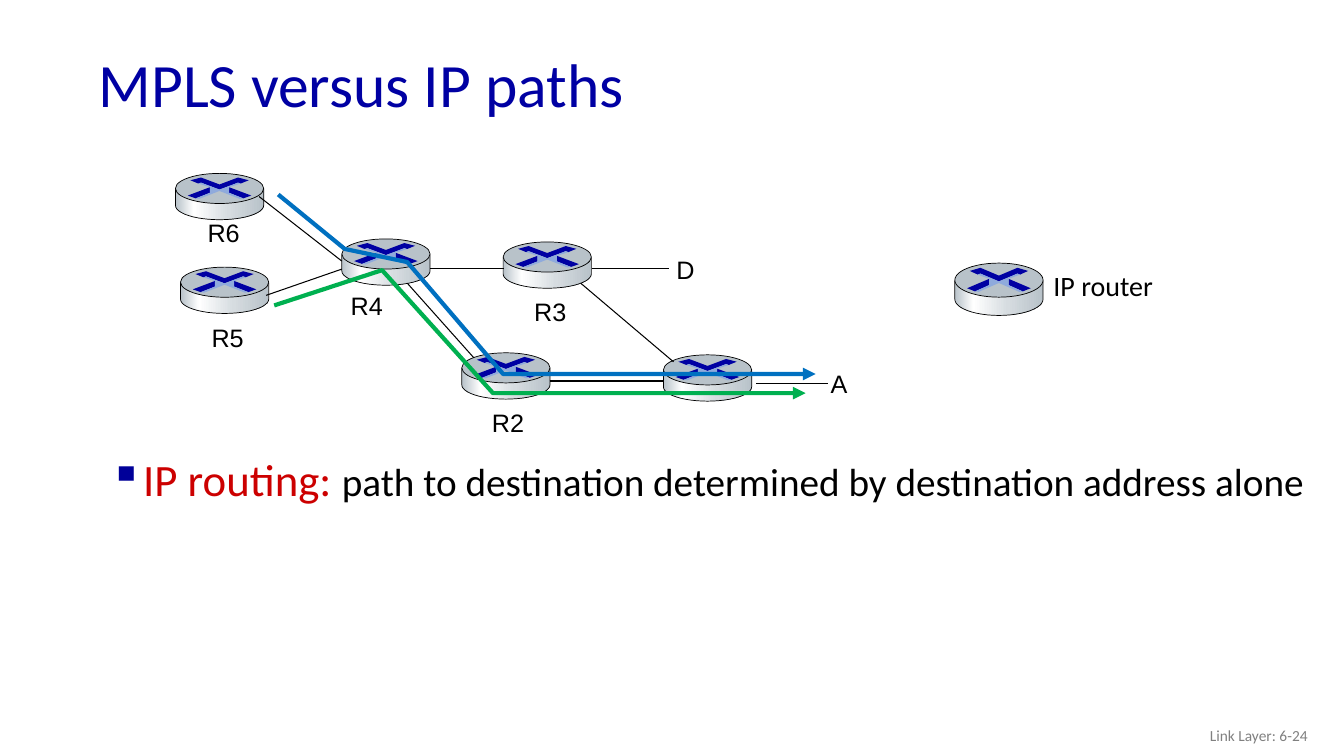
from copy import deepcopy
from math import cos, pi, sin

from lxml import etree
from pptx import Presentation, util as u
from pptx.dml.color import RGBColor
from pptx.enum import shapes, text
from pptx.oxml.ns import qn

NAVY = RGBColor(0x00, 0x00, 0xA3)
DOT = RGBColor(0x00, 0x00, 0x99)
RED = RGBColor(0xCC, 0x00, 0x00)
BLUE = RGBColor(0x00, 0x70, 0xC0)
GREEN = RGBColor(0x00, 0xB0, 0x50)
SKY = RGBColor(0x8F, 0xAA, 0xDC)
STEEL = RGBColor(0xB8, 0xC2, 0xC9)
PALE = RGBColor(0xD6, 0xDC, 0xE0)
WHITE = RGBColor(0xFF, 0xFF, 0xFF)
GREY = RGBColor(0x80, 0x80, 0x80)
BLACK = RGBColor(0x00, 0x00, 0x00)

COLS, ROWS = 133.3, 75
SHEEN = [(0, STEEL), (0.21, WHITE), (0.6, PALE), (1, STEEL)]
SIZE = (8.75, 4.6)
CHEVRON = [(0.5, 0.24), (0.71, 0.09), (0.83, 0.15), (0.74, 0.22), (0.71, 0.2), (0.5, 0.35)]
FOOT = [(0.61, 0.3), (0.86, 0.48), (0.77, 0.54), (0.61, 0.42)]
CROSS = [(0.5, 0.35), (0.71, 0.2), (0.74, 0.22), (0.61, 0.3), (0.61, 0.42),
         (0.77, 0.54), (0.73, 0.55), (0.5, 0.38)]
NODES = [(0.4, 0.2), (0.9, 9.5), (16.9, 6.7), (32.9, 7), (28.8, 18), (48.8, 18.2)]
LINKS = [(8.7, 2.5, 16.9, 8.9), (9.4, 12.3, 16.9, 9.7), (25.7, 9.6, 33, 9.6),
         (23.4, 11.1, 30, 18.5), (37.5, 20.8, 48.8, 20.8), (40.6, 11.1, 49.8, 18.9),
         (58, 21, 65.1, 21), (41.7, 9.6, 49.4, 9.6)]
NAMES = [("R6", 2.6, 4.1, 5.2), ("R5", 3, 14.5, 5.2), ("R4", 16.8, 11.3, 5.2),
         ("R3", 35, 11.9, 5.2), ("R2", 30.8, 22.9, 5.2), ("D", 49.1, 7.7, 3.8),
         ("A", 64.4, 19, 3.7)]
ROUTES = [(BLUE, [(10.6, 2.3), (17.2, 7.7), (23.4, 9), (32.9, 20.1), (63.9, 20.1)]),
          (GREEN, [(10.2, 13.3), (20.9, 9.8), (31.9, 22), (62.9, 22)])]


def cell(n):
    """Turn grid cells, ten to the inch, into a length."""
    return u.Inches(n / 10)


def style(item, values):
    """Set each attribute in a dict on an item."""
    for name, value in values.items():
        setattr(item, name, value)


def mirror(points):
    """Reflect points about the middle of a unit box."""
    return [(1 - x, y) for x, y in reversed(points)]


def trace(group, points, closed=True):
    """Build an outline through points given in cells."""
    spots = [(cell(x), cell(y)) for x, y in points]
    pen = group.build_freeform(*spots[0], scale=1)
    pen.add_line_segments(spots[1:], close=closed)
    shape = pen.convert_to_shape()
    shape.shadow.inherit = False
    return shape


def paint(shape, tone):
    """Give a shape a plain fill and no line."""
    shape.fill.solid()
    shape.fill.fore_color.rgb = tone
    shape.line.fill.background()


def edge(shape, tone, width):
    """Set the line colour and width in points."""
    shape.line.color.rgb = tone
    shape.line.width = u.Pt(width)


def shade(shape):
    """Fill a shape with the metal gradient from left to right."""
    shape.fill.gradient()
    shape.fill.gradient_angle = 0
    stops = shape.fill.gradient_stops
    first = stops[0]._gs
    for _ in SHEEN[2:]:
        first.addnext(deepcopy(first))
    for stop, (place, tone) in zip(shape.fill.gradient_stops, SHEEN):
        stop.color.rgb = tone
        stop.position = place


def router(slide, box):
    """Draw a router that fills the box."""
    left, top, width, height = box
    group = slide.shapes.add_group_shape().shapes

    def fit(points):
        return [(left + x * width, top + y * height) for x, y in points]

    arc = [(0.5 + 0.5 * cos(pi * n / 24), 0.69 + 0.31 * sin(pi * n / 24)) for n in range(25)]
    body = trace(group, fit([(1, 0.34)] + arc + [(0, 0.34)]))
    shade(body)
    edge(body, BLACK, 0.5)
    lid = group.add_shape(shapes.MSO_SHAPE.OVAL, *map(cell, (left, top, width, 0.65 * height)))
    lid.shadow.inherit = False
    paint(lid, STEEL)
    edge(lid, BLACK, 0.5)
    for points, tone in [(CHEVRON + mirror(CHEVRON), NAVY), (FOOT, NAVY),
                         (mirror(FOOT), NAVY), (CROSS + mirror(CROSS), SKY)]:
        paint(trace(group, fit(points)), tone)


def write(slide, box, runs, frame=None, para=None):
    """Add a text box of runs and return its paragraph."""
    area = slide.shapes.add_textbox(*map(cell, box)).text_frame
    style(area, {"word_wrap": True, **(frame or {})})
    line = area.paragraphs[0]
    style(line, para or {})
    for words, face, size, tone in runs:
        run = line.add_run()
        run.text = words
        style(run.font, {"name": face, "size": u.Pt(size)})
        run.font.color.rgb = tone
    return line


def label(slide, box, run):
    """Add a label that grows with its words."""
    write(slide, box, [run], {"word_wrap": False, "auto_size": text.MSO_AUTO_SIZE.SHAPE_TO_FIT_TEXT})


def join(slide, ends):
    """Draw a thin link between two points."""
    link = slide.shapes.add_connector(shapes.MSO_CONNECTOR.STRAIGHT, *map(cell, ends))
    edge(link, BLACK, 0.75)
    etree.SubElement(link._element.spPr, qn("a:effectLst"))


def network(slide, left, top):
    """Draw the routers, links, names and routes from a corner."""
    for x, y in NODES:
        router(slide, (left + x, top + y, *SIZE))
    for x, y, end, foot in LINKS:
        join(slide, (left + x, top + y, left + end, top + foot))
    for name, x, y, width in NAMES:
        label(slide, (left + x, top + y, width, 4), (name, "Arial", 18, BLACK))
    for tone, points in ROUTES:
        route = trace(slide.shapes, [(left + x, top + y) for x, y in points], False)
        route.fill.background()
        edge(route, tone, 3)
        etree.SubElement(route.line._get_or_add_ln(), qn("a:tailEnd"), type="triangle")


def legend(slide, left, top):
    """Draw the key to the router symbol."""
    router(slide, (left, top, SIZE[0], 5.2))
    label(slide, (left + 8.8, top, 12, 4.4), ("IP router", "Calibri", 20, BLACK))


def bullet(slide, box):
    """Write the bulleted statement in its box."""
    line = write(slide, box, [
        ("IP routing: ", "Calibri", 32, RED),
        ("path to destination determined by destination address alone", "Calibri", 28, BLACK),
    ], para={"line_spacing": 0.85, "space_before": u.Pt(6)})
    props = line._p.get_or_add_pPr()
    props.set("marL", str(cell(3.1)))
    props.set("indent", str(-cell(3.1)))
    tint = etree.SubElement(props, qn("a:buClr"))
    etree.SubElement(tint, qn("a:srgbClr"), val=str(DOT))
    etree.SubElement(props, qn("a:buChar"), char="▪")


def main():
    """Build the slide and save it."""
    deck = Presentation()
    style(deck, {"slide_width": cell(COLS), "slide_height": cell(ROWS)})
    slide = deck.slides.add_slide(deck.slide_layouts[6])
    middle = {"vertical_anchor": text.MSO_ANCHOR.MIDDLE}
    write(slide, (8.8, 3.8, 115, 9.8), [("MPLS versus IP paths", "Calibri", 44, NAVY)],
          middle, {"line_spacing": 0.9})
    network(slide, 17, 17)
    legend(slide, 94.7, 26.1)
    bullet(slide, (9.9, 45.1, 121.7, 6.2))
    write(slide, (100.7, 71, 30, 4), [("Link Layer: 6-24", "Calibri", 11, GREY)],
          middle, {"alignment": text.PP_ALIGN.RIGHT})
    deck.save("out.pptx")


if __name__ == "__main__":
    main()
